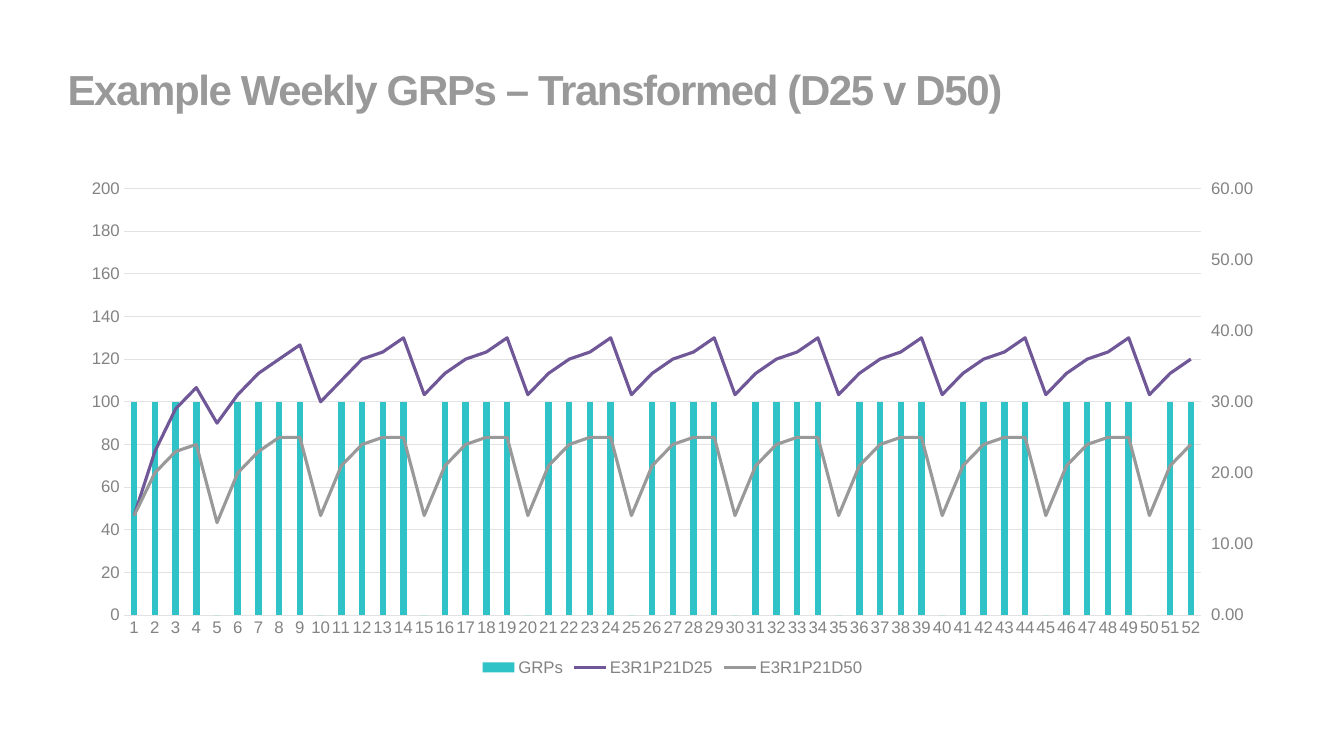
from copy import deepcopy
from dataclasses import dataclass

from pptx import Presentation
from pptx.chart.data import CategoryChartData
from pptx.dml.color import RGBColor
from pptx.enum.chart import XL_CHART_TYPE, XL_LEGEND_POSITION, XL_MARKER_STYLE, XL_TICK_MARK
from pptx.enum.text import MSO_ANCHOR, MSO_AUTO_SIZE, PP_ALIGN
from pptx.oxml import parse_xml
from pptx.oxml.ns import nsdecls
from pptx.util import Inches, Pt


@dataclass(frozen=True)
class Theme:
    font: str = "Arial"
    title_size: int = 30
    label_size: int = 12
    title: str = "999999"
    label: str = "838383"
    grid: str = "E2E2E2"
    grps: str = "2FC3C7"
    decay_25: str = "6F5798"
    decay_50: str = "999999"


WEEKS = 52
GRPS = ([100] * 4 + [0]) * 11
# Each response builds up, then repeats with the five-week flighting.
DECAY_25 = [14, 23, 29, 32, 27, 31, 34, 36, 38, 30, 33, 36, 37, 39]
DECAY_25 += [31, 34, 36, 37, 39] * 8
DECAY_50 = [14, 20, 23, 24, 13, 20, 23, 25, 25]
DECAY_50 += [14, 21, 24, 25, 25] * 9


class SlideBuilder:
    def __init__(self, presentation, theme):
        self.theme = theme
        self.slide = presentation.slides.add_slide(presentation.slide_layouts[5])

    def style_font(self, font, size, color, bold=False):
        font.name = self.theme.font
        font.size = Pt(size)
        font.bold = bold
        font.color.rgb = RGBColor.from_string(color)

    def style_line(self, line, color, width):
        line.color.rgb = RGBColor.from_string(color)
        line.width = Pt(width)

    def title(self, text, left, top, width, height):
        title = self.slide.shapes.title
        title.left, title.top = Inches(left), Inches(top)
        title.width, title.height = Inches(width), Inches(height)
        frame = title.text_frame
        frame.text = text
        frame.auto_size = MSO_AUTO_SIZE.NONE
        frame.word_wrap = True
        frame.vertical_anchor = MSO_ANCHOR.MIDDLE
        frame.margin_left = frame.margin_right = 0
        frame.margin_top = frame.margin_bottom = 0
        heading = frame.paragraphs[0]
        heading.alignment = PP_ALIGN.LEFT
        heading.line_spacing = 0.8
        self.style_font(heading.font, self.theme.title_size, self.theme.title, bold=True)
        heading.runs[0]._r.get_or_add_rPr().set("spc", "-100")

    def combo_chart(self, columns, lines, left, top, width, height):
        """Columns on the left axis, lines on the right; each series is (name, values, color)."""
        data = CategoryChartData()
        data.categories = [str(week) for week in range(1, WEEKS + 1)]
        for name, values, _ in [columns, *lines]:
            data.add_series(name, values[:WEEKS])
        chart = self.slide.shapes.add_chart(
            XL_CHART_TYPE.COLUMN_CLUSTERED, Inches(left), Inches(top),
            Inches(width), Inches(height), data).chart
        chart.has_title = False
        self.style_font(chart.font, self.theme.label_size, self.theme.label)
        chart.has_legend = True
        chart.legend.position = XL_LEGEND_POSITION.BOTTOM
        chart.legend.include_in_layout = False
        self.style_font(chart.legend.font, self.theme.label_size, self.theme.label)

        self.style_axes(chart)
        self.move_lines_to_right_axis(chart, len(lines))

        column_plot, line_plot = chart.plots
        column_plot.gap_width = 219
        column_plot.overlap = -27
        column_plot.vary_by_categories = False
        fill = column_plot.series[0].format.fill
        fill.solid()
        fill.fore_color.rgb = RGBColor.from_string(columns[2])
        for series, (_, _, color) in zip(line_plot.series, lines):
            self.style_line(series.format.line, color, 2.25)
            series.marker.style = XL_MARKER_STYLE.NONE
            series.smooth = False

    def style_axes(self, chart):
        for axis in (chart.category_axis, chart.value_axis):
            axis.major_tick_mark = axis.minor_tick_mark = XL_TICK_MARK.NONE
            self.style_font(axis.tick_labels.font, self.theme.label_size, self.theme.label)
        self.style_line(chart.category_axis.format.line, self.theme.grid, 0.75)
        for body in chart.element.xpath(".//c:catAx/c:txPr/a:bodyPr"):
            body.set("rot", "-60000000")
        values = chart.value_axis
        values.minimum_scale, values.maximum_scale = 0, 200
        values.has_major_gridlines = True
        self.style_line(values.major_gridlines.format.line, self.theme.grid, 0.75)
        values.format.line.fill.background()
        values.tick_labels.number_format = "General"
        values.tick_labels.number_format_is_linked = False

    def move_lines_to_right_axis(self, chart, line_count):
        bar = chart.element.xpath(".//c:barChart")[0]
        line = parse_xml(
            f'<c:lineChart {nsdecls("c")}><c:grouping val="standard"/>'
            '<c:varyColors val="0"/><c:marker val="1"/>'
            '<c:axId val="5001"/><c:axId val="5002"/></c:lineChart>')
        marker = line.xpath("c:marker")[0]
        for series in bar.xpath("c:ser")[-line_count:]:
            for flag in series.xpath("c:invertIfNegative"):
                series.remove(flag)
            marker.addprevious(series)
        bar.addnext(line)

        category = chart.element.xpath(".//c:catAx")[0]
        left = chart.element.xpath(".//c:valAx")[0]
        right, hidden = deepcopy(left), deepcopy(category)
        left.addnext(right)
        right.addnext(hidden)
        right.remove(right.xpath("c:majorGridlines")[0])
        right.xpath("c:numFmt")[0].set("formatCode", "0.00")
        settings = [
            (right, "c:axId", "5002"), (right, "c:crossAx", "5001"),
            (right, "c:axPos", "r"), (right, "c:crosses", "max"),
            (right, "c:scaling/c:max", "60"), (right, "c:majorTickMark", "out"),
            (hidden, "c:axId", "5001"), (hidden, "c:crossAx", "5002"),
            (hidden, "c:delete", "1"),
        ]
        for axis, tag, value in settings:
            axis.xpath(tag)[0].set("val", value)


def main():
    presentation = Presentation()
    presentation.slide_width, presentation.slide_height = Inches(13.33), Inches(7.5)
    theme = Theme()
    builder = SlideBuilder(presentation, theme)
    builder.title("Example Weekly GRPs – Transformed (D25 v D50)", 0.67, 0.3, 12, 1.25)
    builder.combo_chart(
        ("GRPs", GRPS, theme.grps),
        [("E3R1P21D25", DECAY_25, theme.decay_25),
         ("E3R1P21D50", DECAY_50, theme.decay_50)],
        0.67, 1.68, 12, 5.07)
    presentation.save("out.pptx")


if __name__ == "__main__":
    main()
